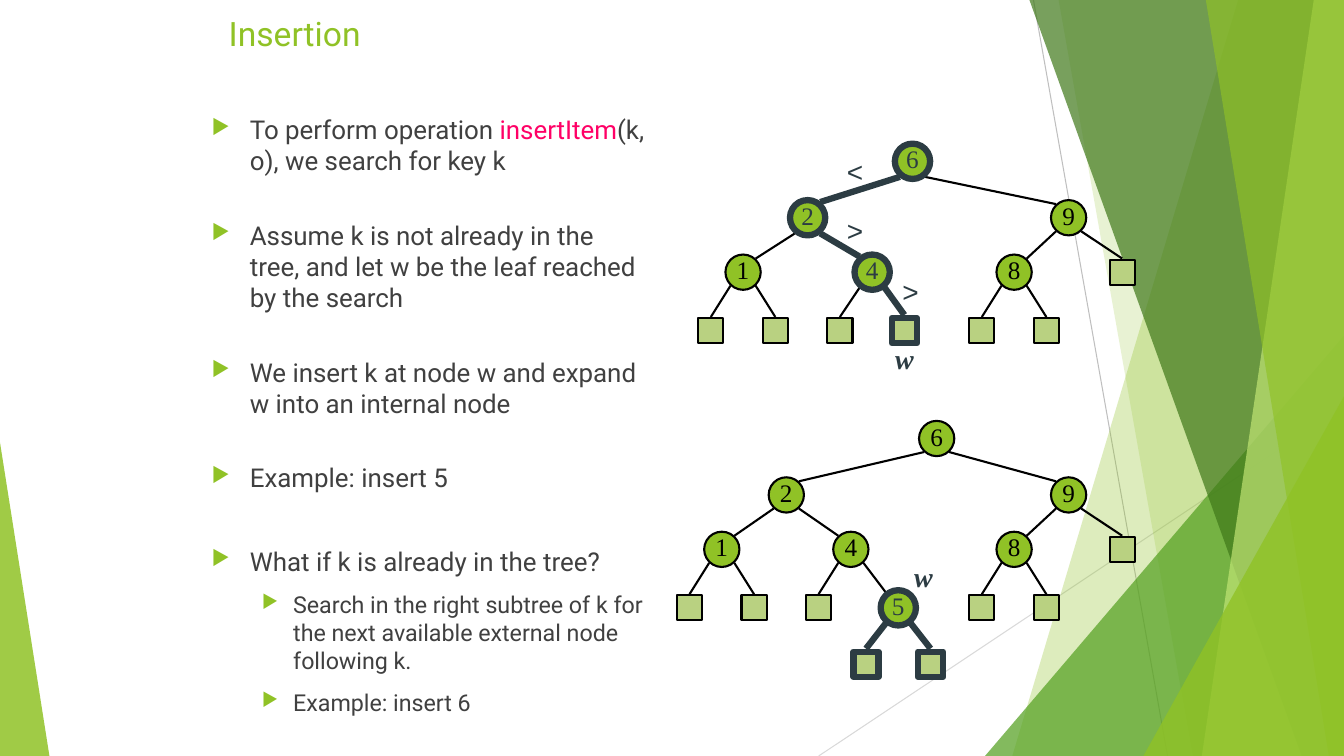
from dataclasses import dataclass

from lxml.etree import SubElement
from pptx import Presentation
from pptx.dml.color import RGBColor
from pptx.enum.shapes import MSO_CONNECTOR, MSO_SHAPE
from pptx.enum.text import MSO_ANCHOR, PP_ALIGN
from pptx.oxml.ns import qn
from pptx.util import Inches, Pt

WIDTH, HEIGHT = 13.33, 7.5
GREEN, PALE, SLATE, BLACK = "90C226", "B9D181", "2C3C43", "000000"
GREY, PINK = "404040", "FF0066"
COLUMN = 0.32
LEVELS = (0, 0.56, 1.1, 1.68, 2.24)
CIRCLE, SQUARE = 0.35, 0.25


@dataclass
class Node:
    """A tree node; shift is its distance from its parent in columns."""
    key: str = ""
    shift: float = 0
    marked: bool = False
    children: tuple = ()


def paint(color_format, value):
    """Set a colour from a hex string."""
    color_format.rgb = RGBColor.from_string(value)


def set_font(font, name, size, color):
    """Set face, size and colour of a font."""
    font.name, font.size = name, Pt(size)
    paint(font.color, color)


def fill_shape(shape, color, opacity=100):
    """Give a shape a plain fill without shadow or outline."""
    shape.shadow.inherit = False
    shape.fill.solid()
    paint(shape.fill.fore_color, color)
    shape.line.fill.background()
    if opacity < 100:
        tint = shape._element.spPr.find(qn("a:solidFill"))[0]
        SubElement(tint, qn("a:alpha"), val=str(opacity * 1000))


def draw_line(slide, start, end, color, weight):
    """Draw a straight line between two points."""
    line = slide.shapes.add_connector(
        MSO_CONNECTOR.STRAIGHT, *(Inches(v) for v in (*start, *end)))
    paint(line.line.color, color)
    line.line.width = Pt(weight)
    SubElement(line._element.spPr, qn("a:effectLst"))


def draw_band(slide, top_x, bottom_x, color, opacity):
    """Draw a full-height band from a slanted edge to the right margin."""
    outline = slide.shapes.build_freeform(Inches(top_x), 0)
    outline.add_line_segments([(Inches(x), Inches(y)) for x, y in (
        (WIDTH, 0), (WIDTH, HEIGHT), (bottom_x, HEIGHT))])
    fill_shape(outline.convert_to_shape(), color, opacity)


def draw_wedge(slide, left, top, width, apex, color, opacity):
    """Draw a triangle that stands on the bottom edge of the slide."""
    wedge = slide.shapes.add_shape(
        MSO_SHAPE.ISOSCELES_TRIANGLE, Inches(left), Inches(top),
        Inches(width), Inches(HEIGHT - top))
    wedge.adjustments[0] = apex
    fill_shape(wedge, color, opacity)


def draw_backdrop(slide):
    """Draw the faceted decoration at both sides."""
    draw_line(slide, (10.25, 0), (11.58, HEIGHT), "BFBFBF", 0.75)
    draw_line(slide, (WIDTH, 4.03), (8.12, HEIGHT), "D9D9D9", 0.75)
    draw_band(slide, 12.28, 10.04, GREEN, 30)
    draw_band(slide, 10.5, 11.83, GREEN, 20)
    draw_wedge(slide, 9.77, 3.33, WIDTH - 9.77, 1, "54A021", 72)
    draw_band(slide, 10.21, 12.91, "3F7819", 70)
    draw_band(slide, 13.03, 11.92, "C0E474", 70)
    draw_band(slide, 11.96, 13.18, GREEN, 65)
    draw_wedge(slide, 11.34, 3.93, WIDTH - 11.34, 1, GREEN, 80)
    draw_wedge(slide, 0, 4.39, 0.49, 0, GREEN, 85)


def add_text_frame(slide, left, top, width, height, wrap=True):
    """Add a text box and return its frame."""
    frame = slide.shapes.add_textbox(
        *(Inches(v) for v in (left, top, width, height))).text_frame
    frame.word_wrap = wrap
    return frame


def draw_title(slide, left, top, width, height):
    """Write the slide title."""
    title = add_text_frame(slide, left, top, width, height).paragraphs[0]
    title.text = "Insertion"
    set_font(title.font, "Roboto", 24, GREEN)


def draw_points(slide, left, top, width, height):
    """Write the bulleted points as (level, space before, runs)."""
    points = (
        (0, 0, ("To perform operation ", "insertItem", "(k, o), we search for key k")),
        (0, 31, ("Assume k is not already in the tree, and let w be the leaf "
                 "reached by the search",)),
        (0, 31, ("We insert k at node w and expand w into an internal node",)),
        (0, 31, ("Example: insert 5",)),
        (0, 37.5, ("What if k is already in the tree?",)),
        (1, 10, ("Search in the right subtree of k for the next available "
                 "external node following k.",)),
        (1, 10, ("Example: insert 6",)),
    )
    styles = ((0.38, 0.38, 18.5), (0.81, 0.31, 16.6))
    frame = add_text_frame(slide, left, top, width, height)
    for index, (level, gap, runs) in enumerate(points):
        point = frame.add_paragraph() if index else frame.paragraphs[0]
        margin, hanging, size = styles[level]
        point.level = level
        point.space_before = Pt(gap)
        properties = point._p.get_or_add_pPr()
        properties.set("marL", str(Inches(margin)))
        properties.set("indent", str(-Inches(hanging)))
        bullet_color = SubElement(properties, qn("a:buClr"))
        SubElement(bullet_color, qn("a:srgbClr"), val=GREEN)
        SubElement(properties, qn("a:buSzPct"), val="80000")
        SubElement(properties, qn("a:buChar"), char="▶")
        set_font(point.font, "Roboto", size, GREY)
        for words in runs:
            run = point.add_run()
            run.text = words
            if words == "insertItem":
                paint(run.font.color, PINK)


def draw_node(slide, node, x, y):
    """Draw a keyed circle or an empty leaf square around its centre."""
    side = CIRCLE if node.key else SQUARE
    kind = MSO_SHAPE.OVAL if node.key else MSO_SHAPE.RECTANGLE
    shape = slide.shapes.add_shape(
        kind, *(Inches(v) for v in (x - side / 2, y - side / 2, side, side)))
    ink = SLATE if node.marked else BLACK
    fill_shape(shape, GREEN if node.key else PALE)
    paint(shape.line.color, ink)
    shape.line.width = Pt(4.5 if node.marked else 1.5)
    if node.key:
        frame = shape.text_frame
        frame.word_wrap = False
        frame.vertical_anchor = MSO_ANCHOR.MIDDLE
        frame.margin_left = frame.margin_right = frame.margin_top = 0
        frame.margin_bottom = Inches(0.05)
        label = frame.paragraphs[0]
        label.text, label.alignment = node.key, PP_ALIGN.CENTER
        set_font(label.font, "Times New Roman", 18, ink)


def draw_subtree(slide, node, x, top, depth=0):
    """Draw a node below its edges, then everything under it."""
    y = top + LEVELS[depth]
    for child in node.children:
        child_x, child_y = x + child.shift * COLUMN, top + LEVELS[depth + 1]
        side = 0.125 if child.shift > 0 else -0.125
        start = x + side, y + (0.155 if node.marked else 0.135)
        end = (child_x - (side if child.key else 0),
               child_y - (0.155 if child.marked else 0.135))
        marked = node.marked and child.marked
        draw_line(slide, start, end, SLATE if marked else BLACK, 4.5 if marked else 1.5)
        draw_subtree(slide, child, child_x, top, depth + 1)
    draw_node(slide, node, x, y)


def draw_tree(slide, root, x, y, labels):
    """Draw a tree from its root centre, with labels placed relative to it."""
    draw_subtree(slide, root, x, y)
    for words, column, drop in labels:
        frame = add_text_frame(
            slide, x + column * COLUMN - 0.2, y + drop - 0.215, 0.4, 0.43, False)
        label = frame.paragraphs[0]
        label.text, label.alignment = words, PP_ALIGN.CENTER
        variable = words == "w"
        set_font(label.font, "Times New Roman" if variable else "Arial", 20, SLATE)
        label.font.bold = label.font.italic = variable


def build_insertion_slide(slide):
    """Place the text on the left and both trees on the right."""
    draw_backdrop(slide)
    draw_title(slide, 2.17, 0.08, 9, 0.75)
    draw_points(slide, 2, 1.08, 4.5, 5.92)
    left, right = Node(shift=-1), Node(shift=1)
    one = Node("1", -2, children=(left, right))
    eight = Node("8", -1.69, children=(left, right))
    nine_children = (eight, Node(shift=1.66))
    marked_leaves = Node(shift=-1, marked=True), Node(shift=1, marked=True)
    four = Node("4", 2, True, (left, marked_leaves[1]))
    before = Node("6", 0, True, (
        Node("2", -3.25, True, (one, four)), Node("9", 4.84, children=nine_children)))
    draw_tree(slide, before, 9.05, 1.6, (
        ("<", -1.78, 0.1), (">", -1.78, 0.68), (">", -0.06, 1.29), ("w", -0.25, 1.95)))
    five = Node("5", 1.47, True, marked_leaves)
    four = Node("4", 2, children=(left, five))
    after = Node("6", children=(
        Node("2", -4.66, children=(one, four)), Node("9", 4.09, children=nine_children)))
    draw_tree(slide, after, 9.29, 4.35, (("w", -0.41, 1.37),))


def main():
    """Build and save the presentation."""
    deck = Presentation()
    deck.slide_width, deck.slide_height = Inches(WIDTH), Inches(HEIGHT)
    build_insertion_slide(deck.slides.add_slide(deck.slide_layouts[6]))
    deck.save("out.pptx")


if __name__ == "__main__":
    main()
